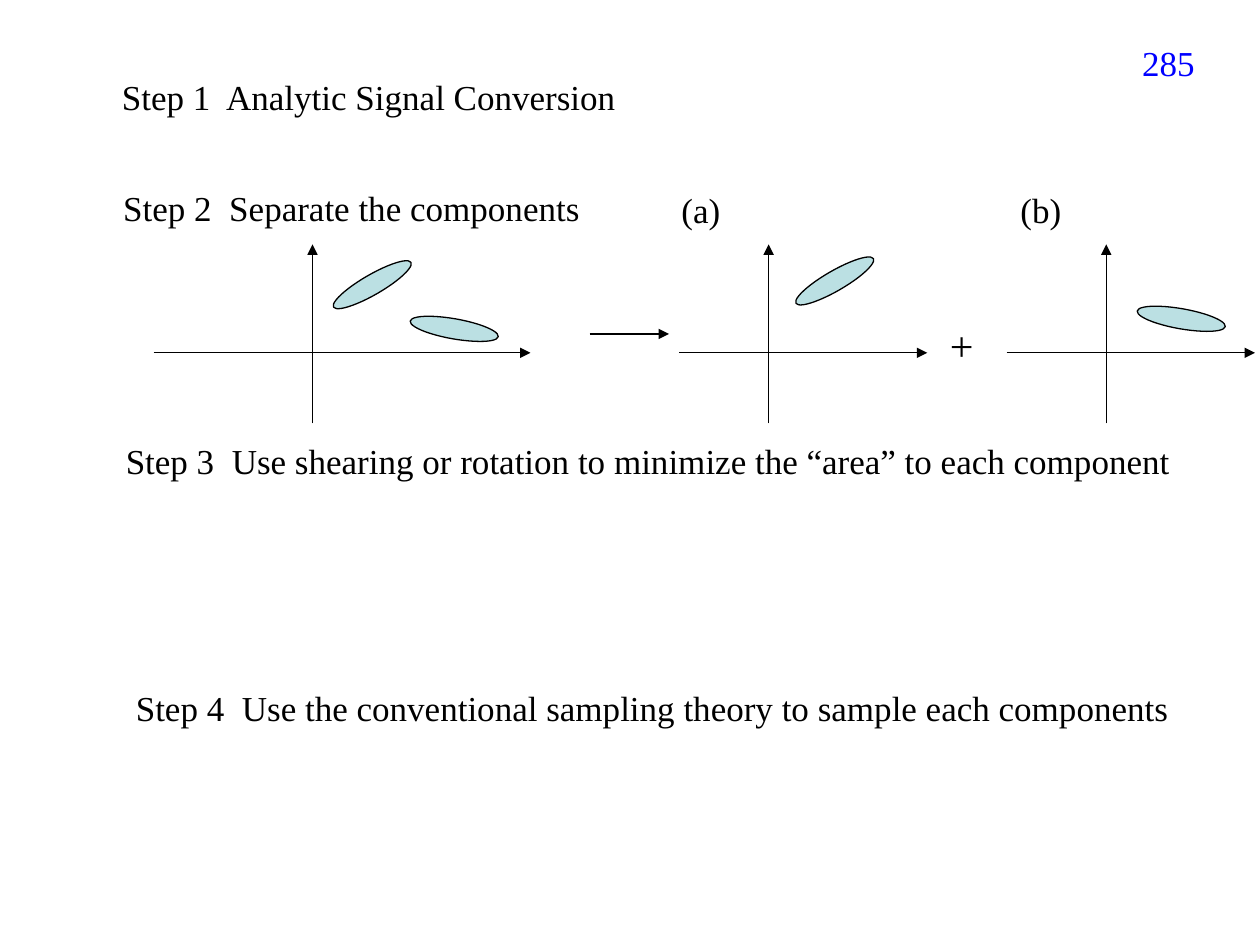
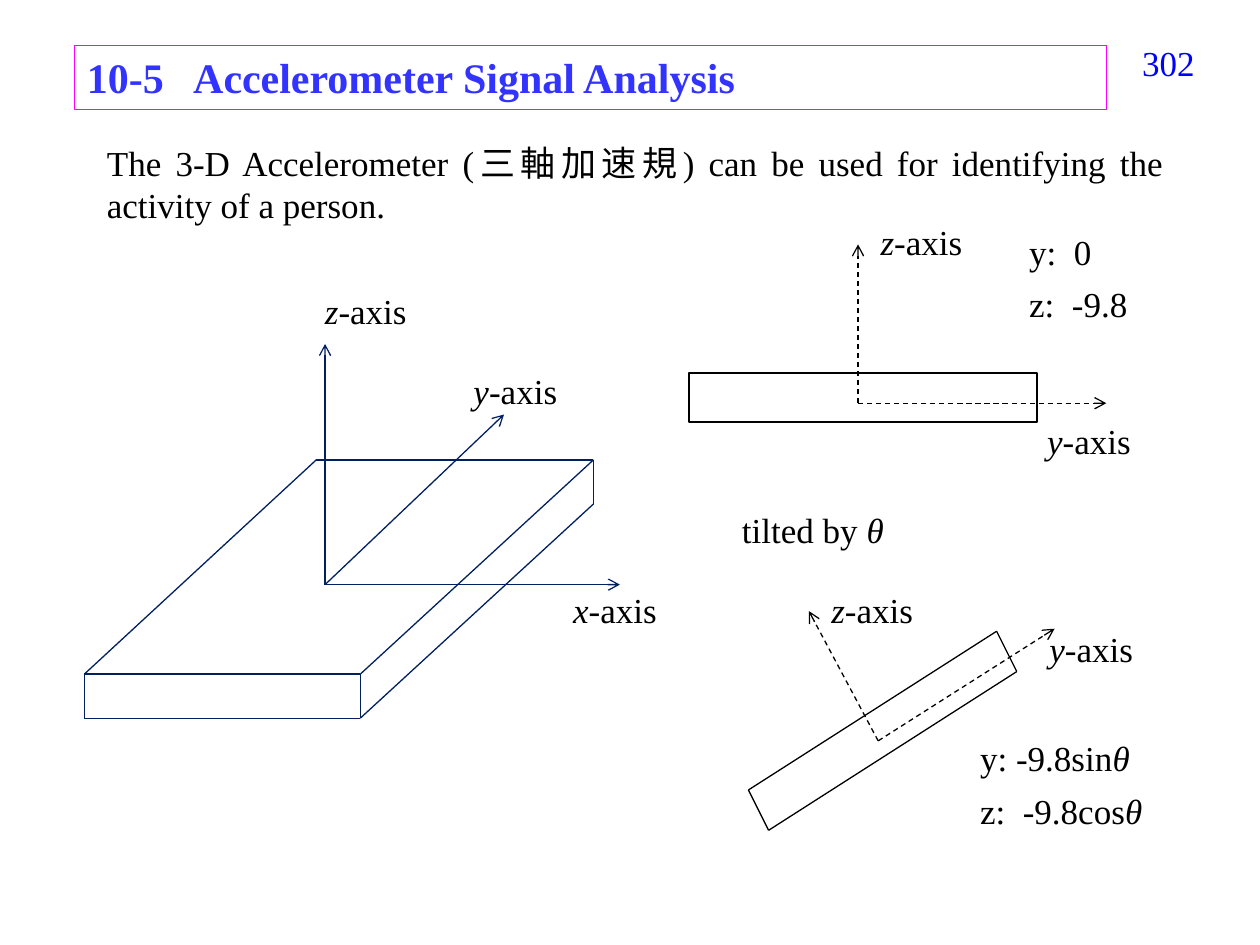
from dataclasses import dataclass
from itertools import pairwise

from lxml import etree
from pptx import Presentation
from pptx.dml.color import RGBColor
from pptx.enum.dml import MSO_LINE
from pptx.enum.shapes import MSO_CONNECTOR, MSO_SHAPE
from pptx.enum.text import MSO_ANCHOR, PP_ALIGN
from pptx.oxml.ns import qn
from pptx.util import Inches, Pt

STRAIGHT = MSO_CONNECTOR.STRAIGHT
ELLIPSE = MSO_SHAPE.OVAL
RECTANGLE = MSO_SHAPE.RECTANGLE
DASH = MSO_LINE.DASH
LEFT, RIGHT, JUSTIFY = PP_ALIGN.LEFT, PP_ALIGN.RIGHT, PP_ALIGN.JUSTIFY
TOP = MSO_ANCHOR.TOP

FONT = "Times New Roman"
BLACK = "000000"
NAVY = "002060"
PAGE_BLUE = "0000FF"
TITLE_BLUE = "3333FF"
TITLE_BORDER = "FF00FF"
COMPONENT_FILL = "BBE0E3"
TITLE_ONLY, BLANK = 5, 6

Point = tuple[float, float]


@dataclass
class Label:
    text: str
    left: float
    top: float
    width: float
    height: float = 0.44
    size: int = 20
    color: str = BLACK
    bold: bool = False
    align: PP_ALIGN = LEFT
    inset: float = 0.1
    wrap: bool = True
    tab: float = 0


@dataclass
class Stroke:
    color: str = BLACK
    width: float = 0.75
    head: str = ""
    dashed: bool = False


@dataclass
class Plane:
    left: float
    right: float
    origin: float


@dataclass
class Component:
    left: float
    top: float
    rotation: int


EDGE = Stroke()
AXIS = Stroke(head="triangle")
BOX_EDGE = Stroke(NAVY)
BOX_AXIS = Stroke(NAVY, head="arrow")
DASHED_AXIS = Stroke(head="arrow", dashed=True)

AXIS_Y, AXIS_TOP, AXIS_BOTTOM = 2.8, 1.94, 3.36
PLANES = [Plane(1.22, 4.21, 2.48), Plane(5.39, 7.36, 6.1), Plane(7.99, 9.96, 8.78)]
COMPONENTS = [
    Component(2.6, 2.18, 330),
    Component(3.25, 2.53, 10),
    Component(6.27, 2.15, 330),
    Component(9.02, 2.45, 10),
]
STEPS = [
    Label("Step 1  Analytic Signal Conversion", 0.87, 0.55, 5.83),
    Label("Step 2  Separate the components", 0.88, 1.43, 5.83),
    Label("Step 3  Use shearing or rotation to minimize the “area” to each component",
          0.9, 3.44, 8.66),
    Label("Step 4  Use the conventional sampling theory to sample each components",
          0.98, 5.4, 8.66),
    Label("(a)\t(b)", 5.31, 1.45, 3.67, tab=2.69),
    Label("+", 7.44, 2.49, 0.87, 0.5, size=24),
]
TITLE = Label("10-5   Accelerometer Signal Analysis", 0.59, 0.36, 8.19, 0.51,
              size=24, color=TITLE_BLUE, bold=True)
ACCELEROMETER_LABELS = [
    Label("The 3-D Accelerometer (三軸加速規) can be used for identifying the "
          "activity of a person.", 0.75, 1.07, 8.58, 0.77, align=JUSTIFY),
    Label("*x*-axis", 4.45, 4.62, 0.94),
    Label("*y*-axis", 3.66, 2.88, 0.94),
    Label("*z*-axis", 2.48, 2.25, 0.95),
    Label("*y*-axis", 8.31, 3.28, 0.71, inset=0),
    Label("*z*-axis", 6.89, 1.7, 1.1),
    Label("*y*-axis", 8.23, 4.93, 0.87),
    Label("*z*-axis", 6.5, 4.62, 1.1),
    Label("y:  0\nz:  -9.8", 8.07, 1.78, 1.02, 0.86),
    Label("y: -9.8sin*θ*\nz:  -9.8cos*θ*", 7.68, 5.8, 1.49, 0.86, wrap=False),
    Label("tilted by *θ*", 5.79, 3.99, 2.28),
]


def rgb(color: str) -> RGBColor:
    return RGBColor.from_string(color)


def assign(target, values: dict) -> None:
    for key, value in values.items():
        setattr(target, key, value)


def write(frame, label: Label) -> None:
    margin = Inches(label.inset)
    assign(frame, {"word_wrap": label.wrap, "vertical_anchor": TOP,
                   "margin_left": margin, "margin_right": margin,
                   "margin_top": Inches(0.05), "margin_bottom": Inches(0.05)})
    for index, line in enumerate(label.text.split("\n")):
        paragraph = frame.add_paragraph() if index else frame.paragraphs[0]
        assign(paragraph, {"alignment": label.align, "line_spacing": 1.0,
                           "space_before": Pt(6 if index else 0)})
        if label.tab:
            tabs = etree.SubElement(paragraph._p.get_or_add_pPr(), qn("a:tabLst"))
            etree.SubElement(tabs, qn("a:tab"), pos=str(Inches(label.tab)), algn="l")
        for position, part in enumerate(line.split("*")):
            if part:
                run = paragraph.add_run()
                run.text = part
                assign(run.font, {"name": FONT, "size": Pt(label.size),
                                  "bold": label.bold, "italic": position % 2 == 1})
                run.font.color.rgb = rgb(label.color)


def add_label(slide, label: Label) -> None:
    box = slide.shapes.add_textbox(Inches(label.left), Inches(label.top),
                                   Inches(label.width), Inches(label.height))
    write(box.text_frame, label)


def add_page_number(slide, number: str) -> None:
    add_label(slide, Label(number, 8.7, 0.28, 0.88, 0.52,
                           color=PAGE_BLUE, align=RIGHT))


def add_title(slide, label: Label) -> None:
    title = slide.shapes.title
    assign(title, {"left": Inches(label.left), "top": Inches(label.top),
                   "width": Inches(label.width), "height": Inches(label.height)})
    title.line.color.rgb = rgb(TITLE_BORDER)
    title.line.width = Pt(0.75)
    write(title.text_frame, label)


def add_line(slide, start: Point, end: Point, stroke: Stroke) -> None:
    connector = slide.shapes.add_connector(
        STRAIGHT, *(Inches(value) for value in (*start, *end)))
    connector.line.color.rgb = rgb(stroke.color)
    connector.line.width = Pt(stroke.width)
    if stroke.dashed:
        connector.line.dash_style = DASH
    if stroke.head:
        etree.SubElement(connector.line._get_or_add_ln(), qn("a:tailEnd"),
                         type=stroke.head)
    etree.SubElement(connector._element.spPr, qn("a:effectLst"))


def add_outline(slide, corners: list[Point], stroke: Stroke) -> None:
    for start, end in pairwise(corners):
        add_line(slide, start, end, stroke)


def add_axes(slide, origin: Point, tips: list[Point], stroke: Stroke) -> None:
    for tip in tips:
        add_line(slide, origin, tip, stroke)


def add_figure(slide, preset, left: float, top: float, width: float, height: float,
               fill: str = "", line_width: float = 0.75, rotation: int = 0) -> None:
    figure = slide.shapes.add_shape(preset, Inches(left), Inches(top),
                                    Inches(width), Inches(height))
    figure.shadow.inherit = False
    figure.rotation = rotation
    if fill:
        figure.fill.solid()
        figure.fill.fore_color.rgb = rgb(fill)
    else:
        figure.fill.background()
    figure.line.color.rgb = rgb(BLACK)
    figure.line.width = Pt(line_width)


def build_steps(presentation) -> None:
    slide = presentation.slides.add_slide(presentation.slide_layouts[BLANK])
    add_page_number(slide, "285")
    for plane in PLANES:
        add_line(slide, (plane.left, AXIS_Y), (plane.right, AXIS_Y), AXIS)
        add_line(slide, (plane.origin, AXIS_BOTTOM), (plane.origin, AXIS_TOP), AXIS)
    add_line(slide, (4.68, 2.65), (5.31, 2.65), AXIS)
    for part in COMPONENTS:
        add_figure(slide, ELLIPSE, part.left, part.top, 0.71, 0.16,
                   COMPONENT_FILL, rotation=part.rotation)
    for step in STEPS:
        add_label(slide, step)


def draw_sensor_box(slide) -> None:
    front_left, front_right = (0.67, 5.35), (2.86, 5.35)
    back_left, back_right = (2.51, 3.65), (4.71, 3.65)
    low_left, low_right, low_back = (
        (x, y + 0.35) for x, y in (front_left, front_right, back_right))
    add_outline(slide, [front_left, back_left, back_right, front_right, front_left,
                        low_left, low_right, low_back, back_right], BOX_EDGE)
    add_line(slide, front_right, low_right, BOX_EDGE)
    add_axes(slide, (2.58, 4.64), [(4.92, 4.64), (4, 3.29), (2.58, 2.73)], BOX_AXIS)


def build_accelerometer(presentation) -> None:
    slide = presentation.slides.add_slide(presentation.slide_layouts[TITLE_ONLY])
    add_title(slide, TITLE)
    add_page_number(slide, "302")
    draw_sensor_box(slide)
    add_figure(slide, RECTANGLE, 5.47, 2.96, 2.76, 0.39, line_width=1)
    add_outline(slide, [(5.94, 6.27), (7.91, 5.01), (8.07, 5.33),
                        (6.1, 6.59), (5.94, 6.27)], EDGE)
    add_axes(slide, (6.81, 3.2), [(8.78, 3.2), (6.81, 1.94)], DASHED_AXIS)
    add_axes(slide, (6.97, 5.88), [(8.37, 4.99), (6.42, 4.85)], DASHED_AXIS)
    for label in ACCELEROMETER_LABELS:
        add_label(slide, label)


def main() -> None:
    presentation = Presentation()
    presentation.slide_width = Inches(10)
    presentation.slide_height = Inches(7.5)
    build_steps(presentation)
    build_accelerometer(presentation)
    presentation.save("out.pptx")


if __name__ == "__main__":
    main()
